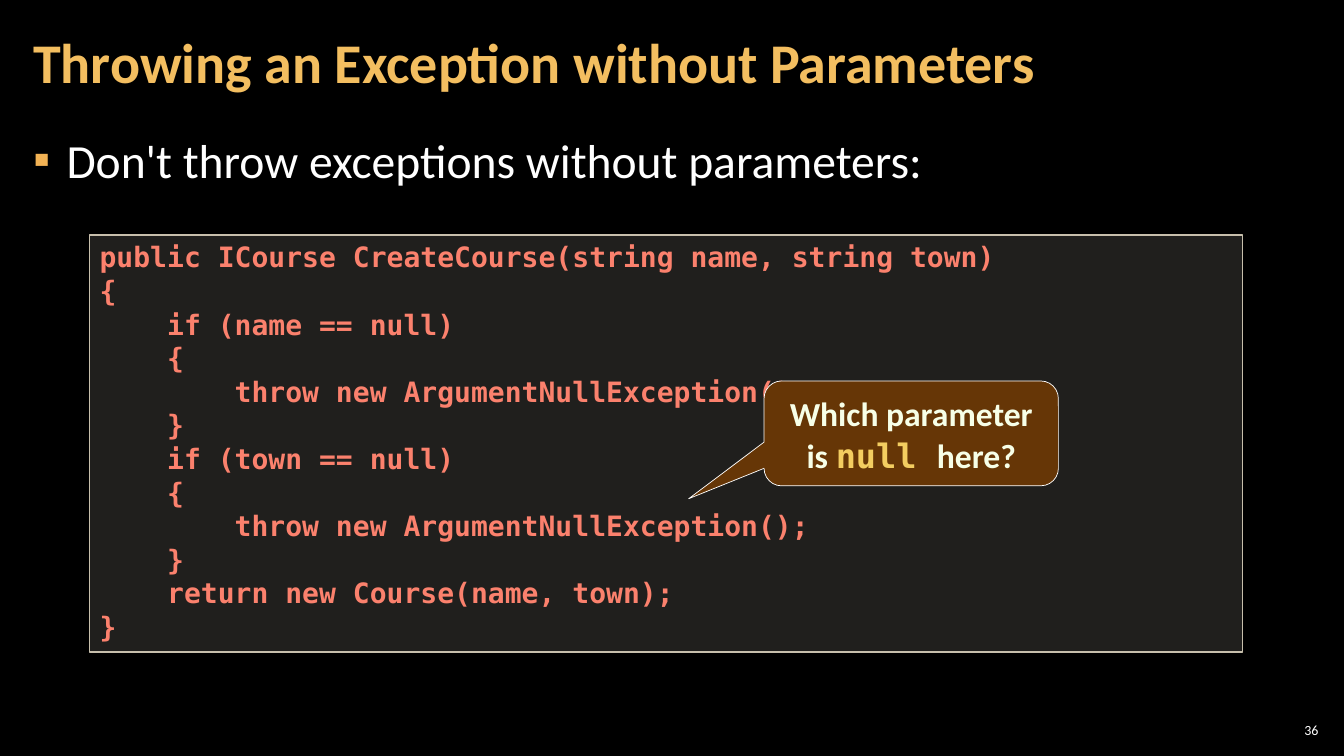
from lxml import etree
from pptx import Presentation
from pptx import util as u
from pptx.dml.color import RGBColor
from pptx.enum import shapes, text
from pptx.oxml.ns import qn

COLORS = {
    "background": "000000", "white": "FFFFFF", "title": "F3BE60",
    "bullet": "F2B254", "code": "FB816D", "code_fill": "D9D5C7",
    "code_line": "C7BFAC", "callout_fill": "663606",
    "callout_text": "F7FFE7", "keyword": "F3CD60",
}
BODY_FONT, CODE_FONT = "Calibri", "DejaVu Sans Mono"

CODE = """public ICourse CreateCourse(string name, string town)
{
    if (name == null)
    {
        throw new ArgumentNullException();
    }
    if (town == null)
    {
        throw new ArgumentNullException();
    }
    return new Course(name, town);
}"""


class SlideBuilder:
    def __init__(self, presentation):
        self.slide = presentation.slides.add_slide(presentation.slide_layouts[6])
        fill = self.slide.background.fill
        fill.solid()
        fill.fore_color.rgb = self.color("background")

    def color(self, name):
        return RGBColor.from_string(COLORS[name])

    def style(self, run, size, color, font=BODY_FONT, bold=False):
        run.font.name = font
        run.font.size = u.Pt(size)
        run.font.bold = bold
        run.font.color.rgb = self.color(color)

    def text_box(self, box, content, size, color, bold=False, side_inset=8.64,
                 anchor=text.MSO_ANCHOR.MIDDLE):
        shape = self.slide.shapes.add_textbox(*map(u.Pt, box))
        frame = shape.text_frame
        frame.word_wrap = True
        frame.vertical_anchor = anchor
        frame.margin_left = frame.margin_right = u.Pt(side_inset)
        frame.margin_top = frame.margin_bottom = u.Pt(2.88)
        frame.text = content
        paragraph = frame.paragraphs[0]
        self.style(paragraph.runs[0], size, color, bold=bold)
        return paragraph

    def bullet(self, paragraph, indent):
        properties = paragraph._p.get_or_add_pPr()
        properties.set("marL", str(u.Pt(indent)))
        properties.set("indent", str(-u.Pt(indent)))
        bullet_color = etree.SubElement(properties, qn("a:buClr"))
        etree.SubElement(bullet_color, qn("a:srgbClr"), val=COLORS["bullet"])
        etree.SubElement(properties, qn("a:buFont"), typeface=BODY_FONT)
        etree.SubElement(properties, qn("a:buChar"), char="▪")

    def panel(self, kind, box, fill, line, line_width, opacity=100):
        shape = self.slide.shapes.add_shape(kind, *map(u.Pt, box))
        shape.shadow.inherit = False
        shape.fill.solid()
        shape.fill.fore_color.rgb = self.color(fill)
        if opacity < 100:
            fill_color = shape.fill._xPr.find(qn("a:solidFill"))[0]
            etree.SubElement(fill_color, qn("a:alpha"), val=str(opacity * 1000))
        shape.line.color.rgb = self.color(line)
        shape.line.width = u.Pt(line_width)
        shape.text_frame.word_wrap = True
        return shape

    def code_block(self, box, code):
        shape = self.panel(shapes.MSO_SHAPE.RECTANGLE, box, "code_fill",
                           "code_line", 1, opacity=15)
        frame = shape.text_frame
        frame.vertical_anchor = text.MSO_ANCHOR.TOP
        frame.text = code
        for paragraph in frame.paragraphs:
            paragraph.alignment = text.PP_ALIGN.LEFT
            self.style(paragraph.runs[0], 20, "code", CODE_FONT, bold=True)

    def callout(self, box, adjustments, parts):
        shape = self.panel(shapes.MSO_SHAPE.ROUNDED_RECTANGULAR_CALLOUT, box,
                           "callout_fill", "white", 0.5)
        for index, value in enumerate(adjustments):
            shape.adjustments[index] = value
        shape.text_frame.vertical_anchor = text.MSO_ANCHOR.MIDDLE
        paragraph = shape.text_frame.paragraphs[0]
        paragraph.alignment = text.PP_ALIGN.CENTER
        paragraph.line_spacing = u.Pt(30)
        for content, color, font in parts:
            run = paragraph.add_run()
            run.text = content
            self.style(run, 24, color, font, bold=True)


def main():
    presentation = Presentation()
    presentation.slide_width = u.Pt(960)
    presentation.slide_height = u.Pt(540)
    builder = SlideBuilder(presentation)

    # Slide number
    number = builder.text_box((910.8, 514.08, 33.84, 15.12), "36", 10, "white",
                              side_inset=2.88)
    number.alignment = text.PP_ALIGN.RIGHT

    # Title and bullet
    title = builder.text_box((15.12, 2.88, 753.84, 87.12),
                             "Throwing an Exception without Parameters",
                             40, "title", bold=True)
    title.line_spacing = 0.9
    advice = builder.text_box((15.12, 90.72, 929.52, 438.48),
                              "Don't throw exceptions without parameters:",
                              34, "white", anchor=text.MSO_ANCHOR.TOP)
    builder.bullet(advice, 23.76)
    advice.space_after = u.Pt(6)

    # Code sample with its callout
    builder.code_block((64.08, 167.76, 823.68, 298.08), CODE)
    builder.callout((545.76, 272.16, 210.24, 74.88), (-0.756, 0.623, 0.167), [
        ("Which parameter is ", "callout_text", BODY_FONT),
        ("null ", "keyword", CODE_FONT),
        ("here?", "callout_text", BODY_FONT),
    ])

    presentation.save("out.pptx")


if __name__ == "__main__":
    main()
